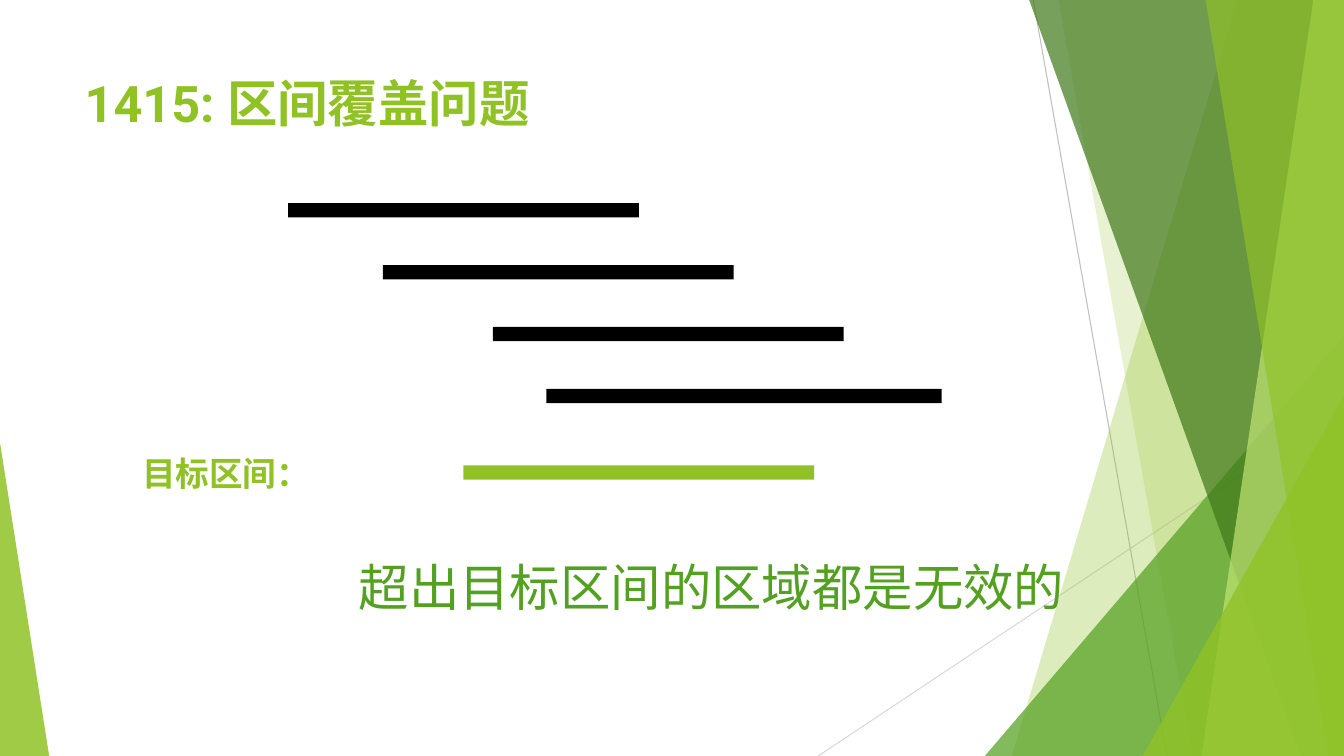
"""Build the slide on the interval covering problem."""
from dataclasses import dataclass
from typing import Union

from lxml import etree
from pptx import Presentation
from pptx.dml.color import RGBColor
from pptx.enum import shapes, text
from pptx.oxml.ns import qn
from pptx.util import Cm, Pt


@dataclass(frozen=True)
class Theme:
    lime: str = "90C226"
    green: str = "54A021"
    forest: str = "3F7819"
    pale: str = "C0E474"
    black: str = "000000"
    latin: str = "Roboto"
    cjk: str = "Noto Sans CJK SC"
    large: int = 36
    label: int = 24
    hairline: float = 0.75


@dataclass(frozen=True)
class Ray:
    x1: float
    y1: float
    x2: float
    y2: float
    color: str


@dataclass(frozen=True)
class Panel:
    top_x: float
    bottom_x: float
    color: str
    opacity: int


@dataclass(frozen=True)
class Wedge:
    left: float
    width: float
    height: float
    apex: int
    color: str
    opacity: int


@dataclass(frozen=True)
class Bar:
    left: float
    top: float
    width: float
    color: str


@dataclass(frozen=True)
class Caption:
    words: str
    left: float
    top: float
    width: float
    height: float
    size: int
    color: str
    font: str
    bold: bool


T = Theme()
WIDTH, HEIGHT = 33.87, 19.05
BLEED = -0.02
BAR_HEIGHT = 0.36
BAR_WIDTH = 8.84
FIRST_BAR, BAR_STEP = 5.12, 1.56

RAYS = [
    Ray(26.04, 0, 29.41, HEIGHT, "BFBFBF"),
    Ray(WIDTH, 10.24, 20.62, HEIGHT, "D9D9D9"),
]
FACETS = [
    Panel(31.19, 25.5, T.lime, 30),
    Panel(26.67, 30.05, T.lime, 20),
    Wedge(24.82, 9.05, 10.59, 1, T.green, 72),
    Panel(25.93, 32.79, T.forest, 70),
    Panel(33.1, 30.28, T.pale, 70),
    Panel(30.38, 33.48, T.lime, 65),
    Wedge(28.8, 5.07, 9.07, 1, T.lime, 80),
    Wedge(0, 1.24, 7.9, 0, T.lime, 85),
]
INTERVALS = [(7.26, BAR_WIDTH), (9.65, BAR_WIDTH), (12.42, BAR_WIDTH), (13.77, 9.96)]
BARS = [
    Bar(left, FIRST_BAR + i * BAR_STEP, width, T.black)
    for i, (left, width) in enumerate(INTERVALS)
] + [Bar(11.68, 11.73, BAR_WIDTH, T.lime)]
TITLE = Caption("1415: 区间覆盖问题", 1.88, 1.7, 23.88, 3.66, T.large, T.lime, T.latin, True)
CAPTIONS = [
    Caption("目标区间：", 3.33, 11.28, 5.51, 1.27, T.label, T.lime, T.latin, True),
    Caption("超出目标区间的区域都是无效的", 8.79, 13.89, 19.41, 1.8, T.large, T.green, T.cjk, False),
]


def paint(sp, color: str, opacity: int = 100) -> None:
    """Give a shape a flat fill without line or shadow."""
    sp.shadow.inherit = False
    sp.line.fill.background()
    sp.fill.solid()
    sp.fill.fore_color.rgb = RGBColor.from_string(color)
    if opacity < 100:
        clr = sp._element.spPr.find(f".//{qn('a:srgbClr')}")
        etree.SubElement(clr, qn("a:alpha"), val=str(opacity * 1000))


def draw_ray(s, ray: Ray) -> None:
    """Draw a thin background line."""
    ends = (Cm(v) for v in (ray.x1, ray.y1, ray.x2, ray.y2))
    cxn = s.shapes.add_connector(shapes.MSO_CONNECTOR.STRAIGHT, *ends)
    cxn.line.color.rgb = RGBColor.from_string(ray.color)
    cxn.line.width = Pt(T.hairline)
    etree.SubElement(cxn._element.spPr, qn("a:effectLst"))


def draw_facet(s, facet: Union[Panel, Wedge]) -> None:
    """Draw a translucent panel or wedge."""
    if isinstance(facet, Panel):
        fb = s.shapes.build_freeform(Cm(facet.top_x), Cm(BLEED))
        corners = [(WIDTH, BLEED), (WIDTH, HEIGHT), (facet.bottom_x, HEIGHT)]
        fb.add_line_segments([(Cm(x), Cm(y)) for x, y in corners])
        sp = fb.convert_to_shape()
    else:
        sp = s.shapes.add_shape(
            shapes.MSO_SHAPE.ISOSCELES_TRIANGLE, Cm(facet.left),
            Cm(HEIGHT - facet.height), Cm(facet.width), Cm(facet.height))
        sp.adjustments[0] = facet.apex
    paint(sp, facet.color, facet.opacity)


def draw_bar(s, bar: Bar) -> None:
    """Draw one interval."""
    sp = s.shapes.add_shape(
        shapes.MSO_SHAPE.RECTANGLE, Cm(bar.left), Cm(bar.top), Cm(bar.width), Cm(BAR_HEIGHT))
    paint(sp, bar.color)


def write_caption(sp, caption: Caption) -> None:
    """Place a text shape and set its words and type."""
    sp.left, sp.top = Cm(caption.left), Cm(caption.top)
    sp.width, sp.height = Cm(caption.width), Cm(caption.height)
    tf = sp.text_frame
    tf.word_wrap = True
    tf.auto_size = text.MSO_AUTO_SIZE.NONE
    tf.vertical_anchor = text.MSO_ANCHOR.TOP
    p = tf.paragraphs[0]
    p.text = caption.words
    p.alignment = text.PP_ALIGN.LEFT
    font = p.font
    font.name, font.size, font.bold = caption.font, Pt(caption.size), caption.bold
    font.color.rgb = RGBColor.from_string(caption.color)
    latin = p._p.pPr.find(f".//{qn('a:latin')}")
    latin.addnext(etree.Element(qn("a:ea"), typeface=T.cjk))


def main() -> None:
    """Build and save the slide."""
    prs = Presentation()
    prs.slide_width, prs.slide_height = Cm(WIDTH), Cm(HEIGHT)
    s = prs.slides.add_slide(prs.slide_layouts[5])
    for ray in RAYS:
        draw_ray(s, ray)
    for facet in FACETS:
        draw_facet(s, facet)
    write_caption(s.shapes.title, TITLE)
    for bar in BARS:
        draw_bar(s, bar)
    for caption in CAPTIONS:
        write_caption(s.shapes.add_textbox(0, 0, 0, 0), caption)
    prs.save("out.pptx")


if __name__ == "__main__":
    main()
